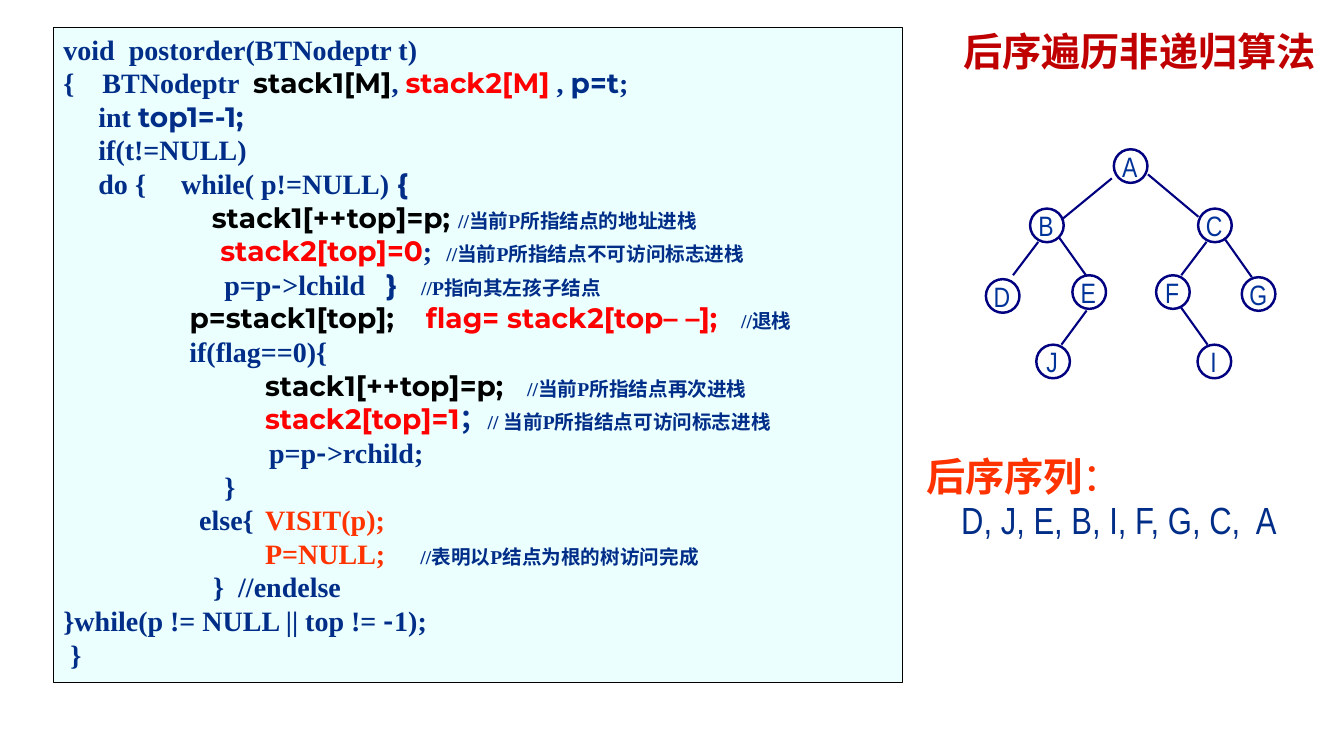
from lxml import etree
from pptx import Presentation
from pptx.dml.color import RGBColor
from pptx.enum import shapes, text
from pptx.oxml import ns
from pptx.util import Pt

COLORS = {"navy": "002D88", "black": "000000", "red": "FF0000", "orange": "FF3300",
          "crimson": "C00000", "label": "003399", "edge": "000080",
          "panel": "EBFFFE"}
SERIF, SANS, CJK, NARROW = "Times New Roman", "Montserrat", "Noto Sans CJK SC", "Arial Narrow"

# Text styles: font, size, colour, bold
STYLES = {
    "code": (SERIF, 20, "navy", True),
    "comment": (SERIF, 14, "navy", True),
    "visit": (SERIF, 20, "orange", True),
    "strong": (SANS, 20, "navy", True),
    "stack1": (SANS, 20, "black", True),
    "stack2": (SANS, 20, "red", True),
    "minus": (CJK, 20, "navy", True),
    "title": (CJK, 28, "crimson", True),
    "heading": (CJK, 28, "orange", True),
    "colon": (CJK, 28, "orange", False),
    "sequence": (NARROW, 27, "navy", False),
    "node": (NARROW, 20, "label", False),
}


def add_run(paragraph, words, style):
    name, size, color, bold = STYLES[style]
    run = paragraph.add_run()
    run.text = words
    for key, value in {"name": name, "size": Pt(size), "bold": bold}.items():
        setattr(run.font, key, value)
    run.font.color.rgb = RGBColor.from_string(COLORS[color])
    east_asian = etree.SubElement(run.font._element, ns.qn("a:ea"))
    east_asian.set("typeface", CJK)


def add_text(parent, left, top, width, height, lines, wrap=True, tabs=(), **formats):
    box = parent.add_textbox(Pt(left), Pt(top), Pt(width), Pt(height))
    frame = box.text_frame
    frame.word_wrap = wrap
    for index, line in enumerate(lines):
        paragraph = frame.add_paragraph() if index else frame.paragraphs[0]
        if tabs:
            tab_list = etree.SubElement(paragraph._p.get_or_add_pPr(), ns.qn("a:tabLst"))
            for stop in tabs:
                etree.SubElement(tab_list, ns.qn("a:tab"), pos=str(Pt(stop)), algn="l")
        for key, value in formats.items():
            setattr(paragraph, key, value)
        for words, style in line:
            add_run(paragraph, words, style)
    return box


presentation = Presentation()
presentation.slide_width, presentation.slide_height = Pt(960), Pt(540)
slide = presentation.slides.add_slide(presentation.slide_layouts[6])

# Code panel
CODE = [
    [("void  postorder(BTNodeptr t)", "code")],
    [("{    BTNodeptr  ", "code"), ("stack1[M]", "stack1"), (", ", "code"),
     ("stack2[M]", "stack2"), (" , ", "code"), ("p=t", "strong"), (";", "code")],
    [("     int ", "code"), ("top1=-1;", "strong")],
    [("     if(t!=NULL)", "code")],
    [("     do {     while( p!=NULL) ", "code"), ("{", "strong")],
    [("\t      stack1[++top]=p; ", "stack1"), ("//当前P所指结点的地址进栈", "comment")],
    [("       \t        ", "code"), ("stack2[top]=0", "stack2"), (";  ", "code"),
     ("//当前P所指结点不可访问标志进栈", "comment")],
    [("                       p=p", "code"), ("-", "minus"), (">lchild   ", "code"),
     ("}   ", "strong"), ("//P指向其左孩子结点", "comment")],
    [("                  ", "code"), ("p=stack1[top];    ", "stack1"),
     ("flag= stack2[top– –];   ", "stack2"), ("//退栈", "comment")],
    [("                  if(flag==0){", "code")],
    [("\t\t", "code"), ("stack1[++top]=p;   ", "stack1"),
     ("//当前P所指结点再次进栈", "comment")],
    [("\t\t", "code"), ("stack2[top]=1", "stack2"), ("；", "code"),
     ("// 当前P所指结点可访问标志进栈", "comment")],
    [(" \t               p=p", "code"), ("-", "minus"), (">rchild;", "code")],
    [("                       }", "code")],
    [("\t     else{\t", "code"), ("VISIT(p);", "visit")],
    [("\t\tP=NULL;     ", "visit"), ("//表明以P结点为根的树访问完成", "comment")],
    [("\t       }  //endelse", "code")],
    [("}while(p != NULL || top != ", "code"), ("-", "minus"), ("1);", "code")],
    [(" }", "code")],
]
panel = add_text(slide.shapes, 38.2, 19.4, 606.2, 468, CODE,
                 tabs=(72, 144), line_spacing=Pt(24))
panel.fill.solid()
panel.fill.fore_color.rgb = RGBColor.from_string(COLORS["panel"])
panel.line.color.rgb = RGBColor.from_string(COLORS["black"])
panel.line.width = Pt(0.25)

# Binary tree: circles with centred letters
NODES = {"A": (795.6, 106.6), "B": (735.8, 149), "C": (855.8, 149),
         "D": (704.2, 199.4), "E": (766, 196.6), "F": (825.8, 196.6),
         "G": (887, 198), "J": (740.2, 246.2), "I": (855.4, 246.2)}
tree = slide.shapes.add_group_shape()
for letter, (left, top) in NODES.items():
    circle = tree.shapes.add_shape(shapes.MSO_SHAPE.OVAL, Pt(left), Pt(top), Pt(24), Pt(24))
    circle.shadow.inherit = False
    circle.fill.background()
    circle.line.color.rgb = RGBColor.from_string(COLORS["edge"])
    circle.line.width = Pt(1.75)
    add_text(tree.shapes, left - 1.6, top - 3.4, 26, 32, [[(letter, "node")]],
             wrap=False, alignment=text.PP_ALIGN.CENTER)

# Tree edges
EDGES = [
    (794.2, 127.4, 758.2, 157),      # A-B
    (820, 124.6, 856, 154.8),        # A-C
    (741.6, 172.8, 723.6, 196.6),    # B-D
    (756.7, 169.9, 776.2, 197.3),    # B-E
    (861.8, 172.8, 843.8, 196.6),    # C-F
    (874.8, 170.6, 894.2, 198),      # C-G
    (776.2, 221.8, 758.2, 246.2),    # E-J
    (843.1, 218.9, 862.6, 246.2),    # F-I
]
for points in EDGES:
    edge = tree.shapes.add_connector(shapes.MSO_CONNECTOR.STRAIGHT, *map(Pt, points))
    edge.line.color.rgb = RGBColor.from_string(COLORS["edge"])
    edge.line.width = Pt(1.5)
    etree.SubElement(edge._element.spPr, ns.qn("a:effectLst"))

# Postorder sequence
sequence = add_text(slide.shapes, 654.5, 321.8, 303.8, 72, [
    [("后序序列", "heading"), ("：", "colon")],
    [("D, J, E, B, I, F, G, C,  A", "sequence")],
], line_spacing=0.95)
letters = sequence.text_frame.paragraphs[1]
letters._p.get_or_add_pPr().set("marL", str(Pt(25)))

# Title
add_text(slide.shapes, 681.1, 18.7, 277.9, 39.6, [[("后序遍历非递归算法", "title")]],
         line_spacing=0.95)

presentation.save("out.pptx")
